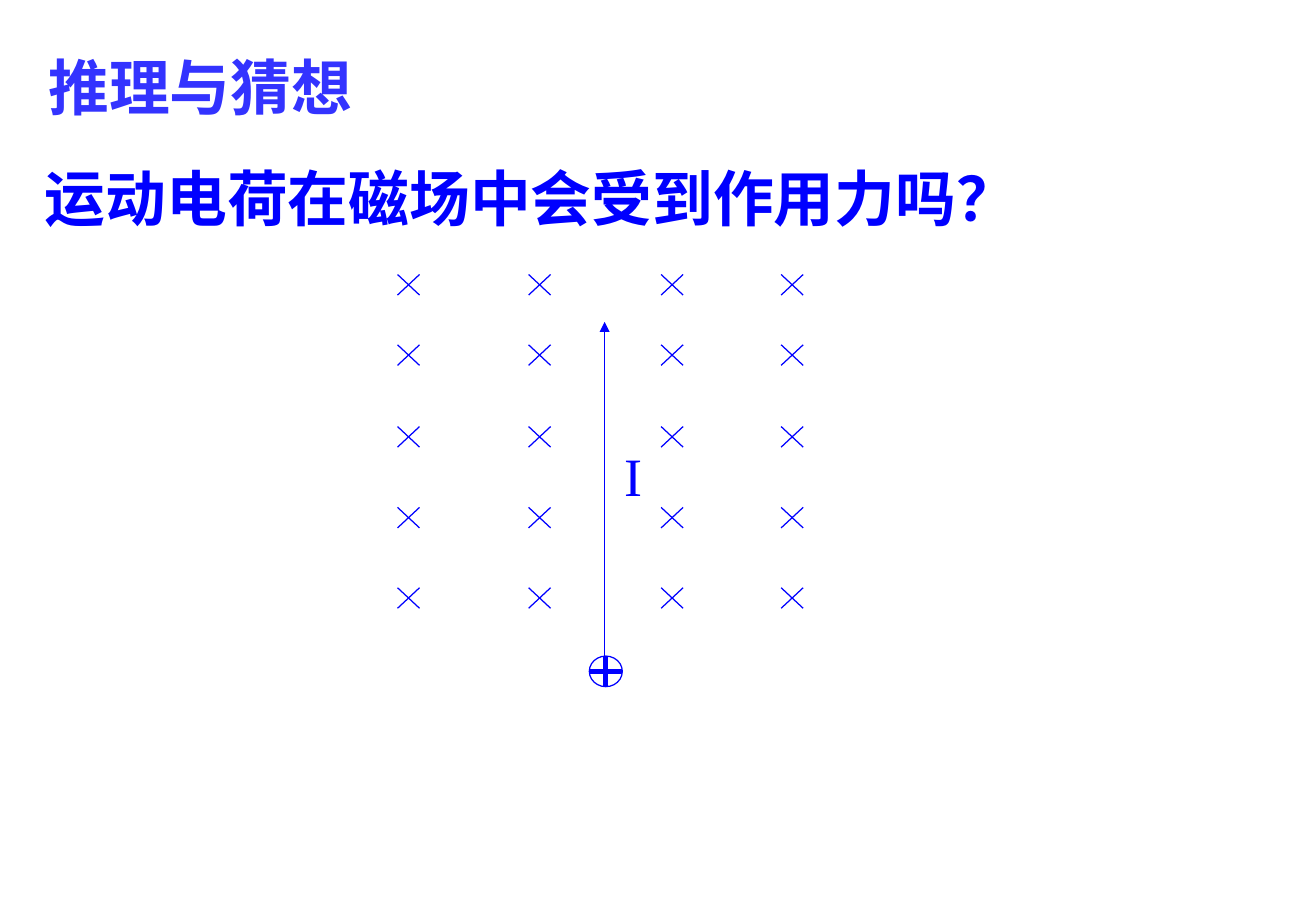
from itertools import product

from lxml.etree import SubElement
from pptx import Presentation
from pptx.dml.color import RGBColor
from pptx.enum.shapes import MSO_CONNECTOR, MSO_SHAPE
from pptx.enum.text import MSO_ANCHOR
from pptx.oxml.ns import qn
from pptx.util import Cm, Pt

BLUE = "0000FF"
FIELD_COLUMNS = (8.31, 11.05, 13.82, 16.33)
FIELD_ROWS = (5.74, 7.21, 8.92, 10.61, 12.29)
CROSS_WIDTH, CROSS_HEIGHT = 0.46, 0.43


def color(value):
    return RGBColor.from_string(value)


def add_text(slide, text, left, top, width, height, size, font_name="Arial",
             font_color=BLUE, bold=False, wrap=True, anchor=MSO_ANCHOR.TOP):
    box = slide.shapes.add_textbox(Cm(left), Cm(top), Cm(width), Cm(height))
    frame = box.text_frame
    frame.word_wrap = wrap
    frame.vertical_anchor = anchor
    paragraph = frame.paragraphs[0]
    paragraph.text = text
    font = paragraph.font
    font.name = font_name
    font.size = Pt(size)
    font.bold = bold
    font.color.rgb = color(font_color)


def add_line(slide, start_x, start_y, end_x, end_y, width=0.75, arrow=False):
    line = slide.shapes.add_connector(
        MSO_CONNECTOR.STRAIGHT, Cm(start_x), Cm(start_y), Cm(end_x), Cm(end_y))
    line.line.color.rgb = color(BLUE)
    line.line.width = Pt(width)
    if arrow:
        SubElement(line.line._get_or_add_ln(), qn("a:tailEnd"), type="triangle")
    SubElement(line._element.spPr, qn("a:effectLst"))


def add_cross(slide, left, top):
    right, bottom = left + CROSS_WIDTH, top + CROSS_HEIGHT
    add_line(slide, right, top, left, bottom)
    add_line(slide, left, top, right, bottom)


def add_positive_charge(slide, left, top, width, height):
    circle = slide.shapes.add_shape(
        MSO_SHAPE.OVAL, Cm(left), Cm(top), Cm(width), Cm(height))
    circle.shadow.inherit = False
    circle.fill.solid()
    circle.fill.fore_color.rgb = color("FFFFFF")
    circle.line.color.rgb = color(BLUE)
    circle.line.width = Pt(0.75)
    middle_x, middle_y = left + width / 2, top + height / 2
    add_line(slide, left, middle_y, left + width, middle_y, 3)
    add_line(slide, middle_x, top, middle_x, top + height, 3)


def main():
    presentation = Presentation()
    presentation.slide_width = Cm(27.51)
    presentation.slide_height = Cm(19.05)
    slide = presentation.slides.add_slide(presentation.slide_layouts[6])

    add_text(slide, "运动电荷在磁场中会受到作用力吗？", 0.69, 2.54, 26.14, 3.18, 36,
             bold=True, anchor=MSO_ANCHOR.MIDDLE)
    for left, top in product(FIELD_COLUMNS, FIELD_ROWS):
        add_cross(slide, left, top)
    add_positive_charge(slide, 12.32, 13.72, 0.69, 0.64)
    add_line(slide, 12.64, 13.72, 12.64, 6.73, arrow=True)
    add_text(slide, "I", 12.8, 9.12, 0.97, 1.6, 32, "Times New Roman", wrap=False)
    add_text(slide, "推理与猜想", 0.76, 0.91, 9.07, 1.78, 36,
             font_color="3333FF", bold=True)

    presentation.save("out.pptx")


if __name__ == "__main__":
    main()
